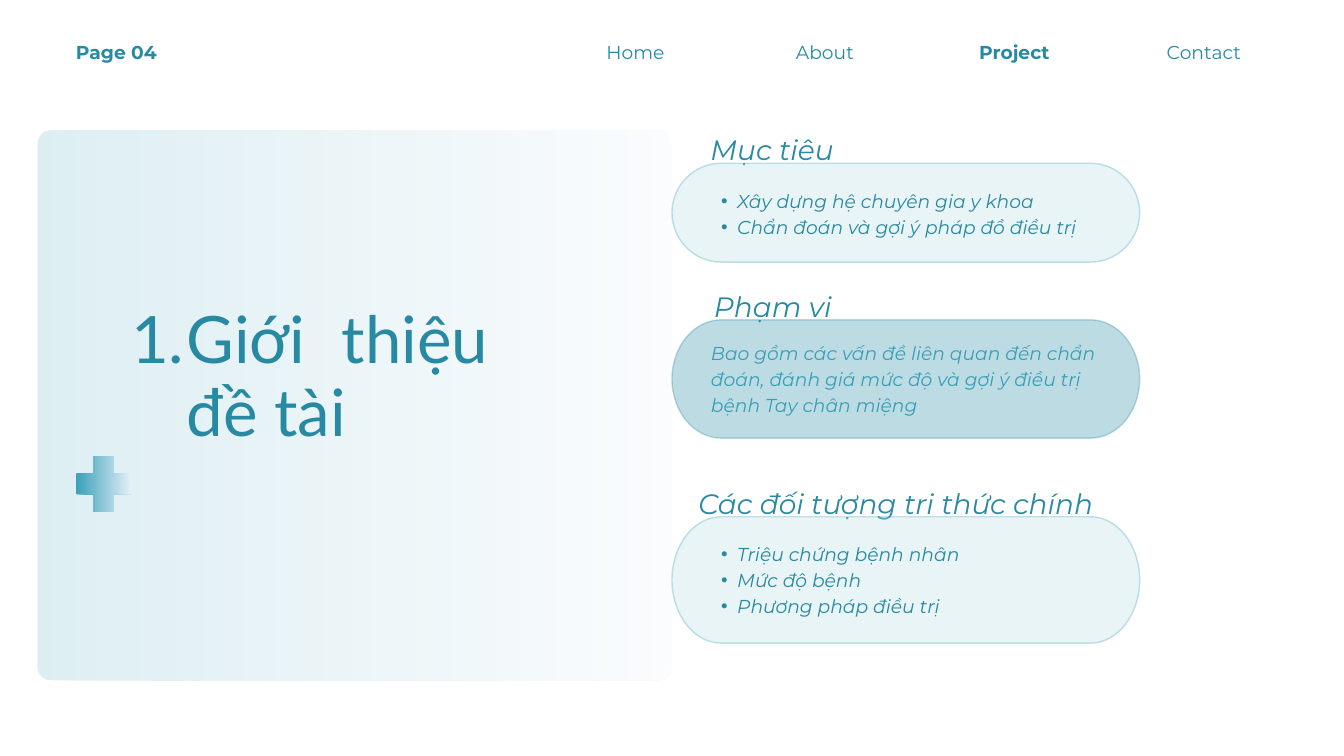
from lxml import etree
from pptx import Presentation
from pptx import util as u
from pptx.dml.color import RGBColor
from pptx.enum import shapes, text
from pptx.oxml.ns import qn

COLORS = {"teal": "2789A2", "sky": "399FB9", "ice": "E6F0F9", "mint": "B5DCE2"}
ALIGN = {"l": text.PP_ALIGN.LEFT, "c": text.PP_ALIGN.CENTER, "j": text.PP_ALIGN.JUSTIFY}
PILL_LEFT, PILL_WIDTH, PILL_CAP = 10, 6.96, 0.73
CURVE = 0.55
HEADING_HEIGHT = 0.54


def rgb(name):
    """Return the named colour."""
    return RGBColor.from_string(COLORS[name])


def set_alpha(sp, percent):
    """Give every colour of a shape the same opacity."""
    for color in sp._element.spPr.iter(qn("a:srgbClr")):
        etree.SubElement(color, qn("a:alpha"), val=str(percent * 1000))


def add_list_mark(p, margin, hang, mark):
    """Set a hanging indent and a bullet or an automatic number."""
    p.level = 1
    pPr = p._p.get_or_add_pPr()
    pPr.set("marL", str(u.Inches(margin)))
    pPr.set("indent", str(-u.Inches(hang)))
    if mark == "1.":
        etree.SubElement(pPr, qn("a:buFont"), typeface="+mj-lt")
        etree.SubElement(pPr, qn("a:buAutoNum"), type="arabicPeriod")
    else:
        etree.SubElement(pPr, qn("a:buFont"), typeface="Arial")
        etree.SubElement(pPr, qn("a:buChar"), char=mark)


def add_text(s, lines, left, top, width, height, size=20, spacing=28, font="Montserrat",
             color="teal", align="l", bold=False, italic=False, mark=None, margin=0.47, hang=0.24):
    """Add a text box with one paragraph per line."""
    sp = s.shapes.add_textbox(*map(u.Inches, (left, top, width, height)))
    tf = sp.text_frame
    tf.word_wrap = True
    tf.auto_size = text.MSO_AUTO_SIZE.SHAPE_TO_FIT_TEXT
    tf.margin_left = tf.margin_right = tf.margin_top = tf.margin_bottom = 0
    for i, line in enumerate(lines):
        p = tf.add_paragraph() if i else tf.paragraphs[0]
        if mark:
            add_list_mark(p, margin, hang, mark)
        p.alignment = ALIGN[align]
        p.line_spacing = u.Pt(spacing)
        r = p.add_run()
        r.text = line
        r.font.name, r.font.size = font, u.Pt(size)
        r.font.bold, r.font.italic = bold, italic
        r.font.color.rgb = rgb(color)


def add_gradient_shape(s, kind, left, top, width, height, adjust, alpha=100):
    """Add a preset shape that fades from left to right."""
    sp = s.shapes.add_shape(kind, *map(u.Inches, (left, top, width, height)))
    sp.adjustments[0] = adjust
    sp.shadow.inherit = False
    sp.line.fill.background()
    sp.fill.gradient()
    sp.fill.gradient_angle = 0
    for stop, position, color in zip(sp.fill.gradient_stops, (0, 1), ("sky", "ice")):
        stop.position = position
        stop.color.rgb = rgb(color)
    if alpha < 100:
        set_alpha(sp, alpha)


def bend(segment, start, corner, end):
    """Turn a straight path segment into a quarter ellipse around a corner."""
    curve = etree.Element(qn("a:cubicBezTo"))
    controls = [[a + CURVE * (c - a) for a, c in zip(point, corner)] for point in (start, end)]
    for x, y in (*controls, end):
        etree.SubElement(curve, qn("a:pt"), x=str(round(x)), y=str(round(y)))
    segment.getparent().replace(segment, curve)


def add_pill(s, top, height, fill, line):
    """Add a translucent box with half-ellipse ends."""
    left, top, w, h, cap = map(u.Inches, (PILL_LEFT, top, PILL_WIDTH, height, PILL_CAP))
    points = [(w - cap, 0), (w, h // 2), (w - cap, h), (cap, h), (0, h // 2), (cap, 0)]
    corners = [(w, 0), (w, h), None, (0, h), (0, 0)]
    builder = s.shapes.build_freeform(*points[0])
    builder.add_line_segments(points[1:], close=True)
    sp = builder.convert_to_shape(left, top)
    segments = list(sp._element.spPr.iter(qn("a:lnTo")))
    for segment, start, corner, end in zip(segments, points, corners, points[1:]):
        if corner:
            bend(segment, start, corner, end)
    sp.shadow.inherit = False
    sp.fill.solid()
    sp.fill.fore_color.rgb = rgb(fill)
    sp.line.color.rgb = rgb(line)
    sp.line.width = u.Pt(1.5)
    set_alpha(sp, 30)


def add_section(s, heading, heading_left, heading_width, top, height, body, body_box,
                fill="mint", line="sky", **body_format):
    """Add a heading that sits on a pill with its body text."""
    add_text(s, [heading], heading_left, top - HEADING_HEIGHT, heading_width, HEADING_HEIGHT,
             size=30, spacing=42, align="c", italic=True)
    add_pill(s, top, height, fill, line)
    add_text(s, body, *body_box, italic=True, **body_format)


def add_navigation(s):
    """Add the page number and the evenly spaced menu."""
    add_text(s, ["Page 04"], 1.13, 0.55, 1.91, 0.37, bold=True)
    for i, label in enumerate(("Home", "About", "Project", "Contact")):
        add_text(s, [label], 8.5 + 2.82 * i, 0.55, 1.91, 0.37, align="c", bold=label == "Project")


def main():
    """Build the slide and save it."""
    prs = Presentation()
    prs.slide_width, prs.slide_height = u.Inches(20), u.Inches(11.25)
    s = prs.slides.add_slide(prs.slide_layouts[6])
    add_gradient_shape(s, shapes.MSO_SHAPE.ROUNDED_RECTANGLE, 0.56, 1.94, 9.44, 8.18,
                       0.19 / 8.18, alpha=17)
    add_gradient_shape(s, shapes.MSO_SHAPE.CROSS, 1.13, 6.78, 0.83, 0.84, 0.32)
    add_navigation(s)
    add_text(s, ["Giới thiệu đề tài"], 1.13, 4.53, 6.14, 2.17, size=70, spacing=77.7,
             font="Lato", align="j", mark="1.", margin=1.65, hang=0.83)
    add_section(s, "Mục tiêu", 10.5, 1.98, 2.43, 1.47,
                ["Xây dựng hệ chuyên gia y khoa", "Chẩn đoán và gợi ý pháp đồ điều trị"],
                (10.5, 2.77, 5.96, 0.76), mark="•")
    add_section(s, "Phạm vi", 10.52, 1.96, 4.76, 1.76,
                ["Bao gồm các vấn đề liên quan đến chẩn đoán, đánh giá mức độ "
                 "và gợi ý điều trị bệnh Tay chân miệng"],
                (10.58, 5.03, 5.88, 1.14), fill="teal", line="teal", color="sky")
    add_section(s, "Các đối tượng tri thức chính", 10.37, 5.92, 7.69, 1.88,
                ["Triệu chứng bệnh nhân", "Mức độ bệnh", "Phương pháp điều trị"],
                (10.5, 8.02, 5.96, 1.14), mark="•")
    prs.save("out.pptx")


if __name__ == "__main__":
    main()
